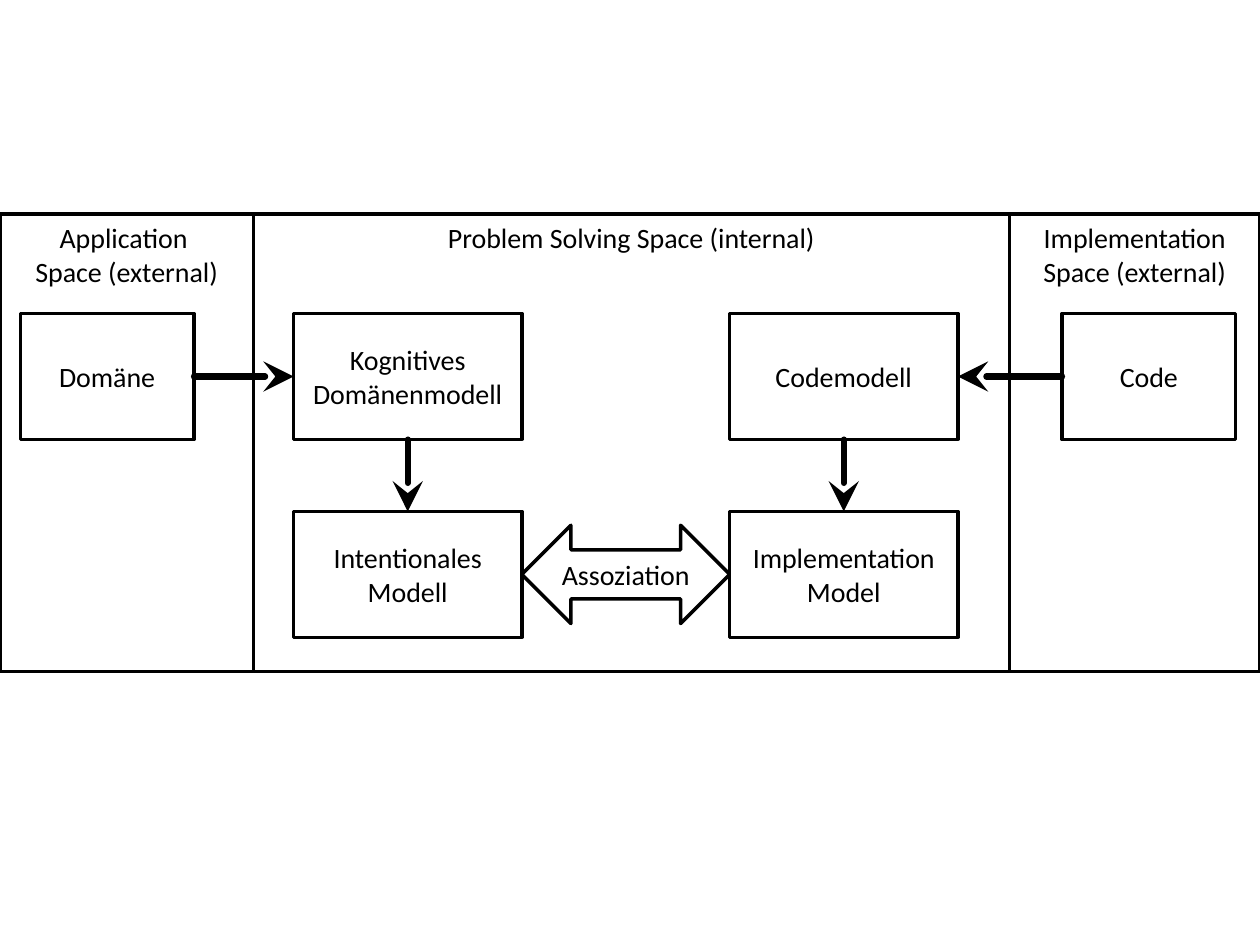
from dataclasses import dataclass

from lxml.etree import SubElement
from pptx import Presentation
from pptx.dml.color import RGBColor
from pptx.enum.shapes import MSO_CONNECTOR as Connector, MSO_SHAPE as Preset
from pptx.enum.text import MSO_ANCHOR as Anchor, PP_ALIGN as Align
from pptx.oxml.ns import qn
from pptx.util import Cm, Pt

BLACK, WHITE = "000000", "FFFFFF"
PANEL_TOP, PANEL_HEIGHT = 4.32, 9.22
BOX_HEIGHT = 2.54
UPPER_ROW, LOWER_ROW = 6.32, 10.31
MODEL_WIDTH, SOURCE_WIDTH = 4.6, 3.5
LEFT_MODEL, RIGHT_MODEL = 5.92, 14.71
ARROW_HEIGHT = 1.98
# Connection sites of a rectangle
TOP, LEFT, BOTTOM, RIGHT = range(4)


@dataclass
class Block:
    """A labelled shape; lengths in centimetres."""
    text: str
    left: float
    top: float
    width: float
    height: float = BOX_HEIGHT


def color(value: str) -> RGBColor:
    return RGBColor.from_string(value)


def write_text(frame, text: str, *, anchor=Anchor.MIDDLE, size=16,
               font="Calibri", ink=BLACK) -> None:
    frame.text = text
    frame.word_wrap = True
    frame.vertical_anchor = anchor
    for para in frame.paragraphs:
        para.alignment = Align.CENTER
        for span in para.runs:
            span.font.name = font
            span.font.size = Pt(size)
            span.font.color.rgb = color(ink)


def draw_block(page, block: Block, *, preset=Preset.RECTANGLE,
               anchor=Anchor.MIDDLE, fill: str | None = WHITE):
    shape = page.shapes.add_shape(preset, Cm(block.left), Cm(block.top),
                                  Cm(block.width), Cm(block.height))
    shape.shadow.inherit = False
    if fill:
        shape.fill.solid()
        shape.fill.fore_color.rgb = color(fill)
    else:
        shape.fill.background()
    shape.line.color.rgb = color(BLACK)
    shape.line.width = Pt(2)
    write_text(shape.text_frame, block.text, anchor=anchor)
    return shape


def draw_arrow(page, start, start_site: int, end, end_site: int) -> None:
    arrow = page.shapes.add_connector(Connector.STRAIGHT, 0, 0, 0, 0)
    arrow.begin_connect(start, start_site)
    arrow.end_connect(end, end_site)
    arrow.line.color.rgb = color(BLACK)
    arrow.line.width = Pt(3.5)
    line = arrow.line._get_or_add_ln()
    line.set("cap", "rnd")
    SubElement(line, qn("a:tailEnd"), type="stealth", w="lg", len="lg")
    SubElement(arrow._element.spPr, qn("a:effectLst"))


def main() -> None:
    deck = Presentation()
    deck.slide_width, deck.slide_height = Cm(25.4), Cm(19.05)
    page = deck.slides.add_slide(deck.slide_layouts[6])

    # Three spaces side by side
    left = 0
    for text, width in (("Application \vSpace (external)", 5.11),
                        ("Problem Solving Space (internal)", 15.24),
                        ("Implementation Space (external)", 5.05)):
        draw_block(page, Block(text, left, PANEL_TOP, width, PANEL_HEIGHT),
                   anchor=Anchor.TOP)
        left += width

    # Sources and models
    domain, code, domain_model, code_model, intentional, implementation = (
        draw_block(page, block) for block in (
            Block("Domäne", 0.41, UPPER_ROW, SOURCE_WIDTH),
            Block("Code", 21.41, UPPER_ROW, SOURCE_WIDTH),
            Block("Kognitives Domänenmodell", LEFT_MODEL, UPPER_ROW, MODEL_WIDTH),
            Block("Codemodell", RIGHT_MODEL, UPPER_ROW, MODEL_WIDTH),
            Block("Intentionales\nModell", LEFT_MODEL, LOWER_ROW, MODEL_WIDTH),
            Block("Implementation Model", RIGHT_MODEL, LOWER_ROW, MODEL_WIDTH),
        ))

    # Flow from the sources to the models
    draw_arrow(page, domain, RIGHT, domain_model, LEFT)
    draw_arrow(page, code, LEFT, code_model, RIGHT)
    draw_arrow(page, domain_model, BOTTOM, intentional, TOP)
    draw_arrow(page, code_model, BOTTOM, implementation, TOP)

    # Association filling the gap between the lower models
    gap_left = LEFT_MODEL + MODEL_WIDTH
    association = draw_block(
        page,
        Block("Assoziation", gap_left, LOWER_ROW + (BOX_HEIGHT - ARROW_HEIGHT) / 2,
              RIGHT_MODEL - gap_left, ARROW_HEIGHT),
        preset=Preset.LEFT_RIGHT_ARROW, fill=None)
    association.text_frame.margin_left = association.text_frame.margin_right = 0

    deck.save("out.pptx")


if __name__ == "__main__":
    main()
